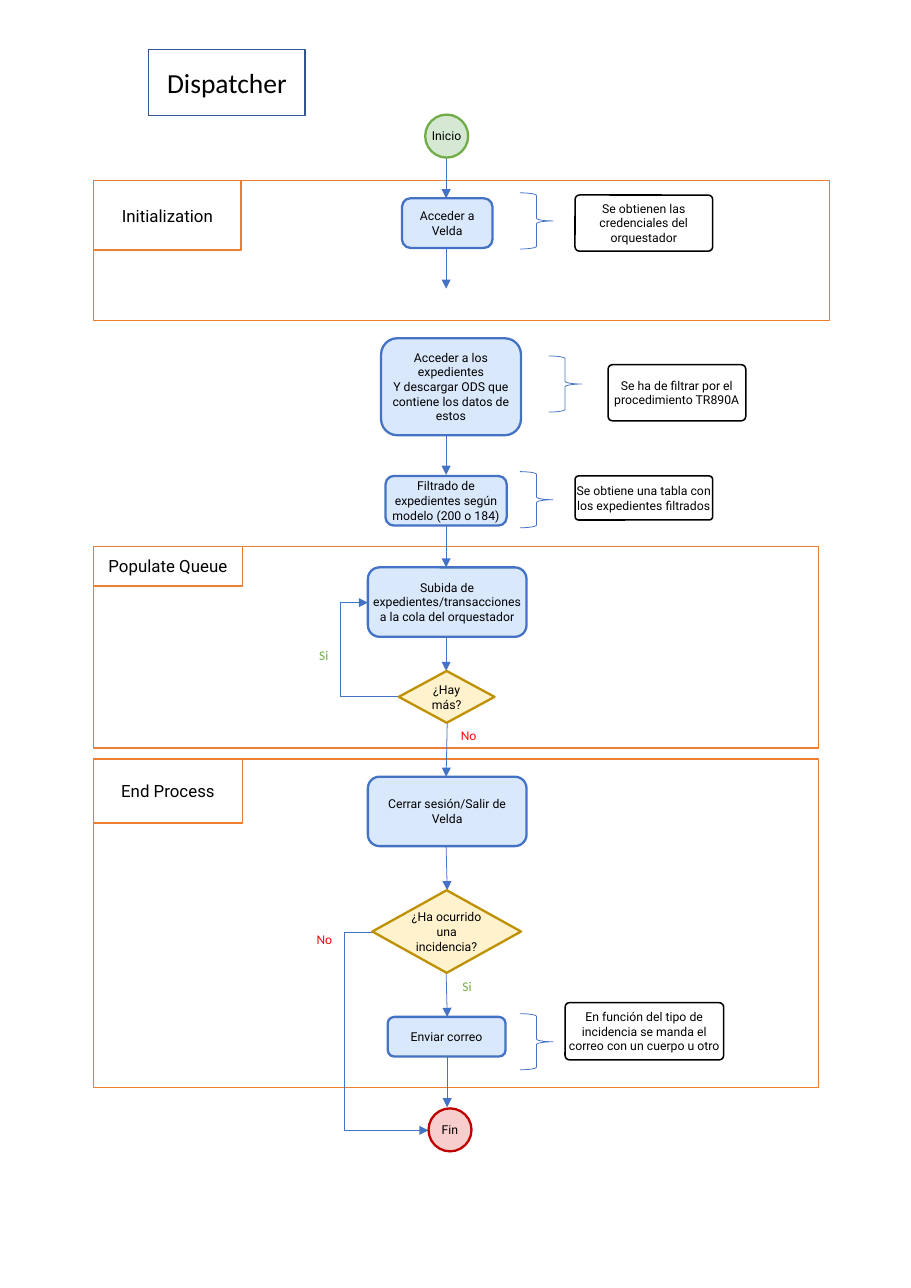
"""Draw the flowchart of the dispatcher process on a portrait A4 slide."""
from pptx import Presentation
from pptx import util as u
from pptx.dml import color
from pptx.enum import shapes, text
from pptx.oxml import ns, xmlchemy

BLUE, ORANGE, GREEN, RED = "4472C4", "ED7D31", "70AD47", "FF0000"
KIND = shapes.MSO_SHAPE


def dress(box, place, fill=None, line=None, weight=1, words="", size=8,
          font="Roboto", ink="000000", wrap=True):
    """Place a box, colour it and write one paragraph per line of words."""
    box.left, box.top, box.width, box.height = map(u.Inches, place)
    box.shadow.inherit = False
    for part, shade in ((box.fill, fill), (box.line.fill, line)):
        if shade:
            part.solid()
            part.fore_color.rgb = color.RGBColor.from_string(shade)
        else:
            part.background()
    if line:
        box.line.width = u.Pt(weight)
    frame = box.text_frame
    frame.word_wrap = wrap
    frame.auto_size = text.MSO_AUTO_SIZE.NONE
    frame.vertical_anchor = text.MSO_ANCHOR.MIDDLE
    frame.margin_left = frame.margin_right = frame.margin_top = frame.margin_bottom = 0
    for index, sentence in enumerate(words.split("\n") if words else []):
        para = frame.add_paragraph() if index else frame.paragraphs[0]
        para.alignment = text.PP_ALIGN.CENTER
        span = para.add_run()
        span.text = sentence
        span.font.size, span.font.name = u.Pt(size), font
        span.font.color.rgb = color.RGBColor.from_string(ink)


def link(start, end, bend=None):
    """Draw an arrow, straight or bent at a share of its width."""
    kind = shapes.MSO_CONNECTOR.STRAIGHT if bend is None else shapes.MSO_CONNECTOR.ELBOW
    arrow = page.shapes.add_connector(kind, *map(u.Inches, start + end))
    arrow.line.color.rgb = color.RGBColor.from_string(BLUE)
    arrow.line.width = u.Pt(0.5)
    properties = arrow._element.spPr
    tail = xmlchemy.OxmlElement("a:tailEnd")
    tail.set("type", "triangle")
    properties.find(ns.qn("a:ln")).append(tail)
    properties.append(xmlchemy.OxmlElement("a:effectLst"))
    if bend is not None:
        guide = xmlchemy.OxmlElement("a:gd")
        guide.set("name", "adj1")
        guide.set("fmla", f"val {round(bend * 100000)}")
        properties.find(ns.qn("a:prstGeom")).get_or_add_avLst().append(guide)


deck = Presentation()
deck.slide_width, deck.slide_height = u.Inches(8.27), u.Inches(11.69)
page = deck.slides.add_slide(deck.slide_layouts[5])

dress(page.shapes.title, (1.35, 0.45, 1.42, 0.6), "FFFFFF", "325491",
      words="Dispatcher", size=18, font="Calibri")

phases = [
    ("Initialization", 1.64, 6.68, 1.27, 1.34, 0.63),
    ("Populate Queue", 4.96, 6.58, 1.83, 1.35, 0.36),
    ("End Process", 6.89, 6.58, 2.98, 1.35, 0.58),
]
for name, top, width, height, tab_width, tab_height in phases:
    group = page.shapes.add_group_shape()
    for words, size in (("", (width, height)), (name, (tab_width, tab_height))):
        box = group.shapes.add_shape(KIND.FLOWCHART_PROCESS, 0, 0, 0, 0)
        dress(box, (0.85, top, *size), line=ORANGE, words=words, size=11, wrap=False)

arrows = [
    ((4.05, 1.43), (4.05, 1.8)),
    ((4.05, 2.25), (4.05, 2.62)),
    ((4.05, 3.95), (4.05, 4.31)),
    ((4.05, 4.77), (4.05, 5.15)),
    ((4.05, 5.79), (4.05, 6.09)),
    ((4.06, 6.56), (4.05, 7.05)),
    ((4.05, 7.69), (4.06, 8.08)),
    ((4.05, 8.83), (4.06, 9.23)),
    ((4.06, 9.58), (4.06, 10.05)),
    ((3.62, 6.32), (3.34, 5.47), 1.88),
    ((3.38, 8.46), (3.89, 10.26), -0.49),
]
for arrow in arrows:
    link(*arrow)

STEP = (KIND.ROUNDED_RECTANGLE, "DAE8FC", BLUE)
DECISION = (KIND.FLOWCHART_DECISION, "FFF2CC", "BF9000")
START = (KIND.FLOWCHART_CONNECTOR, "D5E8D4", GREEN)
FINISH = (KIND.FLOWCHART_CONNECTOR, "F8CECC", "C00000")
nodes = [
    (START, (3.86, 1.04, 0.39, 0.39), "Inicio"),
    (STEP, (3.65, 1.8, 0.82, 0.45), "Acceder a Velda"),
    (STEP, (3.46, 3.07, 1.27, 0.88),
     "Acceder a los expedientes\nY descargar ODS que contiene los datos de estos"),
    (STEP, (3.5, 4.32, 1.1, 0.45), "Filtrado de expedientes según modelo (200 o 184)"),
    (STEP, (3.34, 5.15, 1.44, 0.63),
     "Subida de expedientes/transacciones a la cola del orquestador"),
    (DECISION, (3.62, 6.09, 0.87, 0.47), "¿Hay más?"),
    (STEP, (3.34, 7.05, 1.44, 0.63), "Cerrar sesión/Salir de Velda"),
    (DECISION, (3.38, 8.08, 1.35, 0.75), "¿Ha ocurrido una incidencia?"),
    (STEP, (3.52, 9.23, 1.07, 0.36), "Enviar correo"),
    (FINISH, (3.89, 10.06, 0.39, 0.39), "Fin"),
]
for (kind, fill, line), place, words in nodes:
    box = page.shapes.add_shape(kind, 0, 0, 0, 0)
    dress(box, place, fill, line, 1.5, words, wrap=words != "Fin")

notes = [
    ((4.72, 1.75), (5.22, 1.77, 1.25, 0.51), "Se obtienen las credenciales del orquestador"),
    ((4.98, 3.23), (5.52, 3.31, 1.25, 0.51), "Se ha de filtrar por el procedimiento TR890A"),
    ((4.72, 4.28), (5.22, 4.32, 1.25, 0.4),
     "Se obtiene una tabla con los expedientes filtrados"),
    ((4.72, 9.2), (5.13, 9.1, 1.44, 0.52),
     "En función del tipo de incidencia se manda el correo con un cuerpo u otro"),
]
for corner, place, words in notes:
    brace = page.shapes.add_shape(KIND.LEFT_BRACE, 0, 0, 0, 0)
    dress(brace, (*corner, 0.3, 0.51), line=BLUE, weight=0.5)
    brace.rotation = 180
    box = page.shapes.add_shape(KIND.ROUNDED_RECTANGLE, 0, 0, 0, 0)
    box.adjustments[0] = 0.08
    dress(box, place, "FFFFFF", "000000", words=words)

answers = [
    ("Si", GREEN, 2.9, 5.87, 0.08),
    ("No", RED, 4.18, 6.6, 0.15),
    ("No", RED, 2.87, 8.45, 0.15),
    ("Si", GREEN, 4.2, 8.88, 0.08),
]
for words, ink, left, top, width in answers:
    box = page.shapes.add_textbox(0, 0, 0, 0)
    dress(box, (left, top, width, 0.15), words=words, size=8.7,
          font="Calibri", ink=ink, wrap=False)

deck.save("out.pptx")
